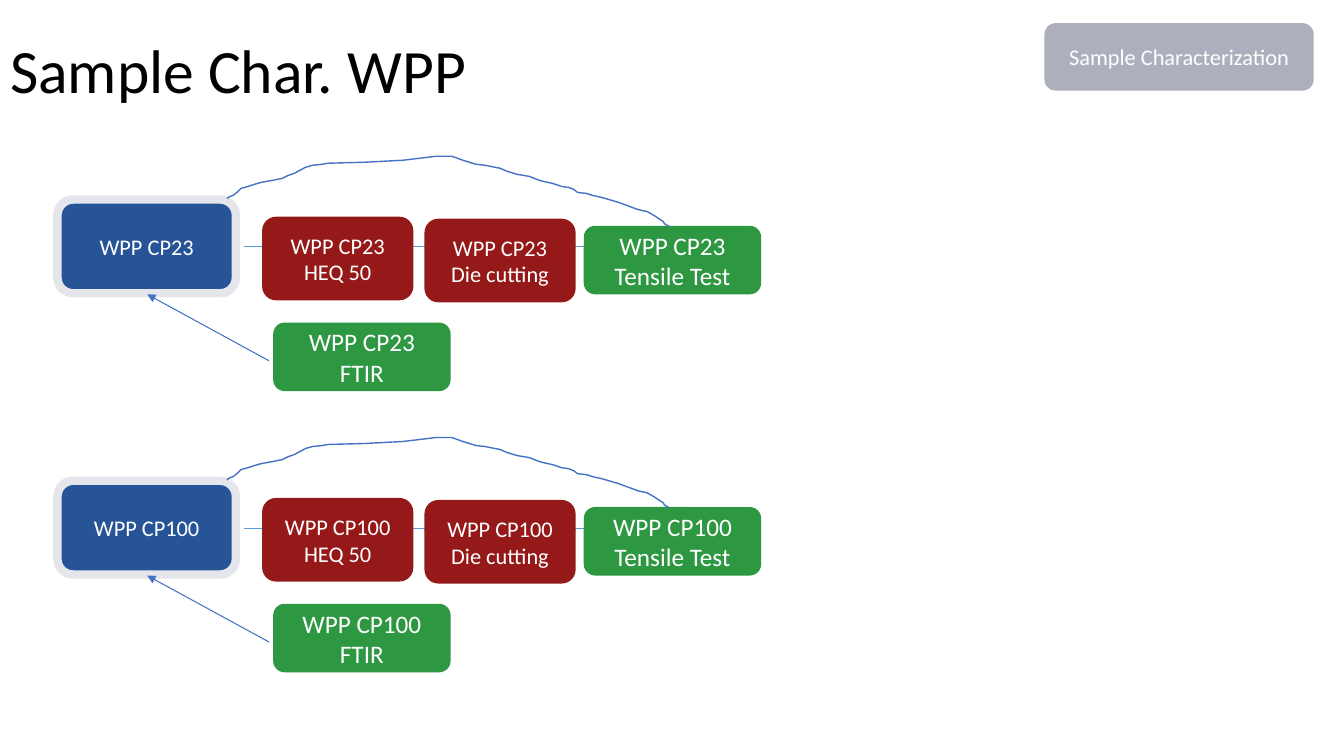
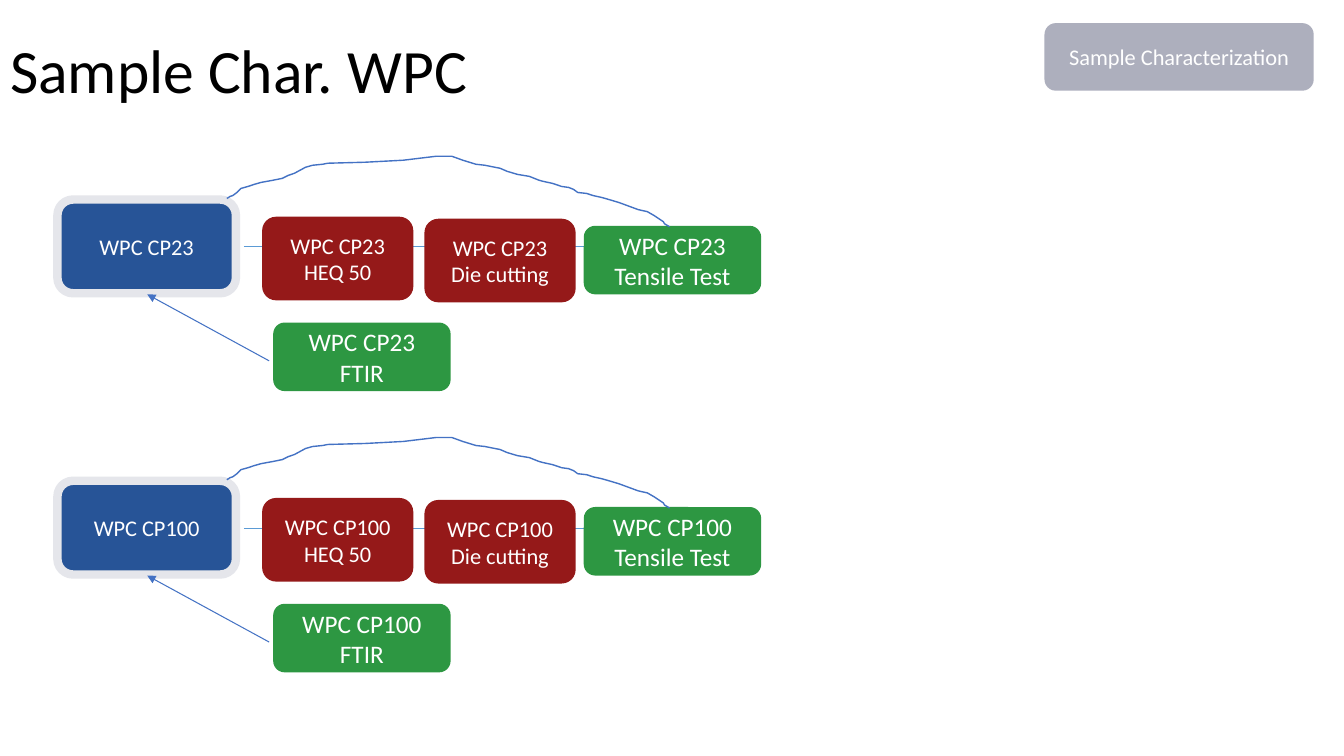
from lxml import etree
from pptx import Presentation
from pptx.dml.color import RGBColor
from pptx.enum.shapes import MSO_CONNECTOR, MSO_SHAPE
from pptx.enum.text import MSO_ANCHOR, MSO_AUTO_SIZE, PP_ALIGN
from pptx.oxml.ns import qn
from pptx.util import Pt

STRAIGHT = MSO_CONNECTOR.STRAIGHT
ROUNDED = MSO_SHAPE.ROUNDED_RECTANGLE
MIDDLE = MSO_ANCHOR.MIDDLE
NO_FIT = MSO_AUTO_SIZE.NONE
LEFT, CENTER = PP_ALIGN.LEFT, PP_ALIGN.CENTER

PX = 9144
FONT = "Calibri"
BLACK, WHITE = "000000", "FFFFFF"
NAVY, HALO, RED, GREEN, GREY = "275497", "E5E6EB", "951919", "2D9742", "ADAFBD"
SKY, BLUE = "5B9BD5", "4472C4"

LANE_LEFT, LANE_TOP, LANE_STEP = 57, 155, 279
GRADES = ("CP23", "CP100")
STEPS = (
    ("HEQ 50", (203, 60, 150, 83), RED, 16),
    ("Tensile Test", (522, 69, 176, 68), GREEN, 18),
    ("Die cutting", (364, 62, 150, 83), RED, 16),
    ("FTIR", (214, 165, 176, 68), GREEN, 18),
)
ARC = (
    (607, 70), (602, 67), (601, 65), (592, 59), (585, 55), (576, 53),
    (557, 46), (547, 43), (540, 41), (531, 39), (525, 37), (516, 36),
    (512, 33), (507, 31), (500, 30), (491, 27), (482, 25), (478, 24),
    (468, 20), (456, 18), (446, 15), (439, 12), (429, 10), (424, 9),
    (415, 8), (402, 4), (391, 0), (385, 0), (376, 0), (343, 4),
    (305, 6), (268, 7), (263, 8), (253, 9), (246, 11), (235, 17),
    (229, 19), (223, 22), (213, 24), (202, 26), (195, 28), (189, 30),
    (182, 32), (178, 36), (174, 39), (171, 40), (168, 42),
)


def px(*sizes):
    """Turn px lengths into EMU."""
    return [size * PX for size in sizes]


def rgb(code):
    """Return the colour for a hex string."""
    return RGBColor.from_string(code)


def stroke(line, color, width):
    """Set the colour and width of a line."""
    line.color.rgb = rgb(color)
    line.width = Pt(width)


def write(shape, text, size, color, align):
    """Put one vertically centred paragraph in a shape and return it."""
    frame = shape.text_frame
    frame.text = text
    frame.word_wrap = True
    frame.auto_size = NO_FIT
    frame.vertical_anchor = MIDDLE
    para = frame.paragraphs[0]
    para.alignment = align
    para.font.name = FONT
    para.font.size = Pt(size)
    para.font.color.rgb = rgb(color)
    return para


def add_box(slide, text, box, fill, size=16, halo=None):
    """Add a rounded box with white text and an optional thick edge."""
    shape = slide.shapes.add_shape(ROUNDED, *px(*box))
    shape.shadow.inherit = False
    shape.fill.solid()
    shape.fill.fore_color.rgb = rgb(fill)
    if halo:
        stroke(shape.line, halo, 6)
    else:
        shape.line.fill.background()
    write(shape, text, size, WHITE, CENTER)


def add_arrow(slide, ends, color):
    """Add a thin straight arrow from the first point to the second."""
    arrow = slide.shapes.add_connector(STRAIGHT, *px(*ends))
    stroke(arrow.line, color, 0.75)
    props = arrow._element.spPr
    etree.SubElement(props.find(qn("a:ln")), qn("a:tailEnd"), type="triangle")
    etree.SubElement(props, qn("a:effectLst"))


def add_arc(slide, left, top):
    """Add the hand-drawn link over a lane."""
    points = [(left + x, top + y) for x, y in ARC]
    pen = slide.shapes.build_freeform(*points[0], scale=PX)
    pen.add_line_segments(points[1:], close=False)
    arc = pen.convert_to_shape()
    arc.shadow.inherit = False
    arc.fill.background()
    stroke(arc.line, BLUE, 1)


def add_lane(slide, name, left, top):
    """Add one sample with its process steps and tests."""
    add_arrow(slide, (left + 185, top + 90, left + 581, top + 90), SKY)
    add_box(slide, name, (left, top + 43, 177, 93), NAVY, halo=HALO)
    for step, (x, y, width, height), fill, size in STEPS:
        box = (left + x, top + y, width, height)
        add_box(slide, f"{name} {step}", box, fill, size)
    add_arc(slide, left, top)
    add_arrow(slide, (left + 210, top + 203, left + 89, top + 137), BLUE)


def add_title(slide, text):
    """Place and format the slide title."""
    title = slide.shapes.title
    title.left, title.top, title.width, title.height = px(0, 0, 1150, 145)
    write(title, text, 44, BLACK, LEFT).line_spacing = 0.9


def add_slide(deck, sample):
    """Add the slide for one kind of sample."""
    slide = deck.slides.add_slide(deck.slide_layouts[5])
    add_title(slide, f"Sample Char. {sample}")
    for row, grade in enumerate(GRADES):
        add_lane(slide, f"{sample} {grade}", LANE_LEFT, LANE_TOP + row * LANE_STEP)
    add_box(slide, "Sample Characterization", (1036, 23, 267, 67), GREY)


def main():
    """Build and save the deck."""
    deck = Presentation()
    deck.slide_width, deck.slide_height = px(1333, 750)
    for sample in ("WPP", "WPC"):
        add_slide(deck, sample)
    deck.save("out.pptx")


if __name__ == "__main__":
    main()
